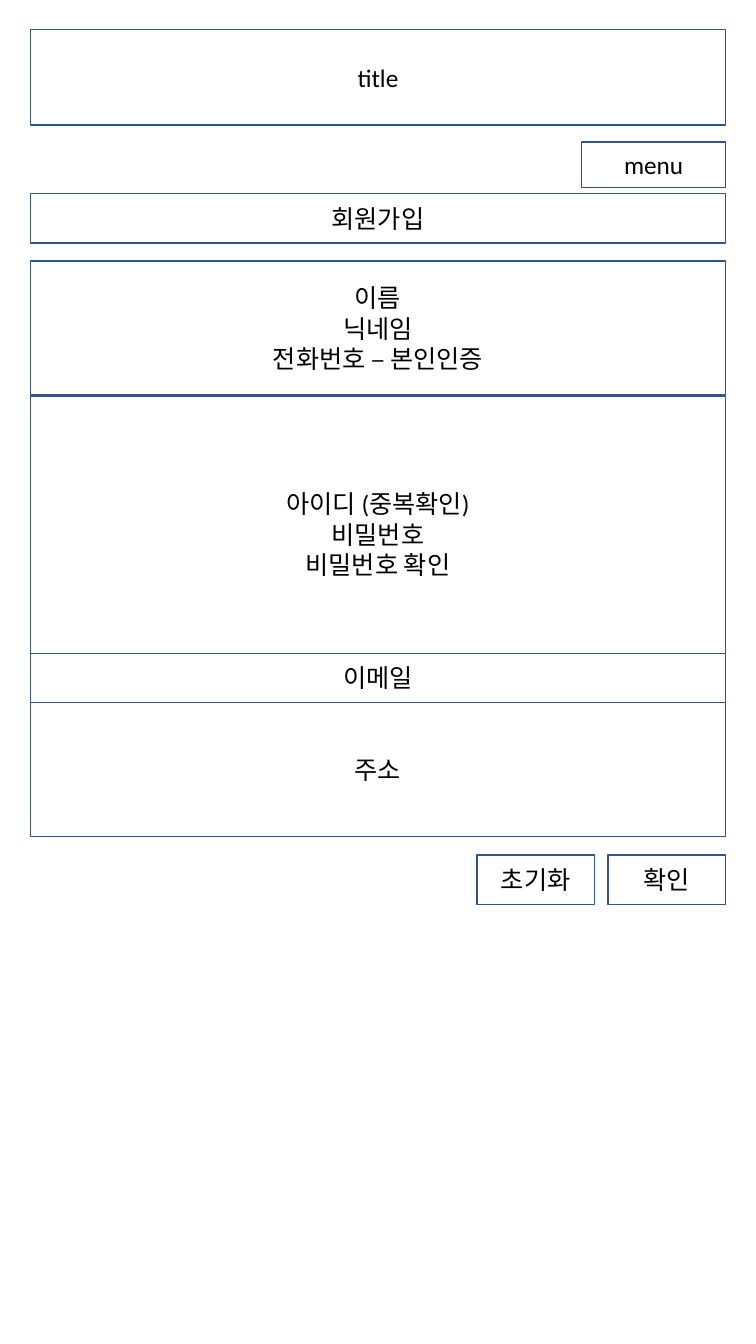
from pptx import Presentation
from pptx.dml.color import RGBColor
from pptx.enum import shapes, text
from pptx.util import Pt

# Content: lines of text, top, height
BANDS = [
    (["title"], 20.9, 68.4),
    (["회원가입"], 138.2, 35.3),
    (["이름", "닉네임", "전화번호 – 본인인증"], 186.5, 95.8),
    (["아이디 (중복확인)", "비밀번호", "비밀번호 확인"], 283, 218.8),
    (["이메일"], 466.6, 35.2),
    (["주소"], 501.8, 95.8),
]
MENU = ("menu", 101.5, 103, 32.4)  # label, top, width, height
BUTTONS = ["확인", "초기화"]  # from right to left

# Theme and layout, in points
THEME = {
    "font": "Calibri",
    "size": 18,
    "ink": RGBColor(0, 0, 0),
    "fill": RGBColor(255, 255, 255),
    "line": RGBColor(0x32, 0x54, 0x91),
    "line_width": 1,
}
PAGE_WIDTH, PAGE_HEIGHT = 540, 960
MARGIN = 21.6
RIGHT = PAGE_WIDTH - MARGIN
BUTTON_TOP, BUTTON_WIDTH, BUTTON_HEIGHT, BUTTON_GAP = 610.6, 84.2, 35.3, 9.4
INSET = 3.6
ACCOUNT_BOTTOM_INSET = 25.6  # lifts the account fields above the email band


def add_box(page, lines, left, top, width, height):
    box = page.shapes.add_shape(shapes.MSO_SHAPE.RECTANGLE,
                                Pt(left), Pt(top), Pt(width), Pt(height))
    box.shadow.inherit = False
    box.fill.solid()
    box.fill.fore_color.rgb = THEME["fill"]
    box.line.color.rgb = THEME["line"]
    box.line.width = Pt(THEME["line_width"])

    frame = box.text_frame
    frame.text = "\n".join(lines)
    frame.word_wrap = True
    frame.vertical_anchor = text.MSO_ANCHOR.MIDDLE
    frame.margin_top = frame.margin_bottom = Pt(INSET)
    for para in frame.paragraphs:
        para.alignment = text.PP_ALIGN.CENTER
        for span in para.runs:
            span.font.name = THEME["font"]
            span.font.size = Pt(THEME["size"])
            span.font.color.rgb = THEME["ink"]
    return box


def main():
    deck = Presentation()
    deck.slide_width, deck.slide_height = Pt(PAGE_WIDTH), Pt(PAGE_HEIGHT)
    page = deck.slides.add_slide(deck.slide_layouts[6])

    # Full-width bands
    for lines, top, height in BANDS:
        box = add_box(page, lines, MARGIN, top, RIGHT - MARGIN, height)
        if "비밀번호" in lines:
            box.text_frame.margin_bottom = Pt(ACCOUNT_BOTTOM_INSET)

    # Menu, flush right
    label, top, width, height = MENU
    add_box(page, [label], RIGHT - width, top, width, height)

    # Form buttons, laid out from the right edge
    for index, label in enumerate(BUTTONS):
        left = RIGHT - BUTTON_WIDTH - index * (BUTTON_WIDTH + BUTTON_GAP)
        add_box(page, [label], left, BUTTON_TOP, BUTTON_WIDTH, BUTTON_HEIGHT)

    deck.save("out.pptx")


if __name__ == "__main__":
    main()
